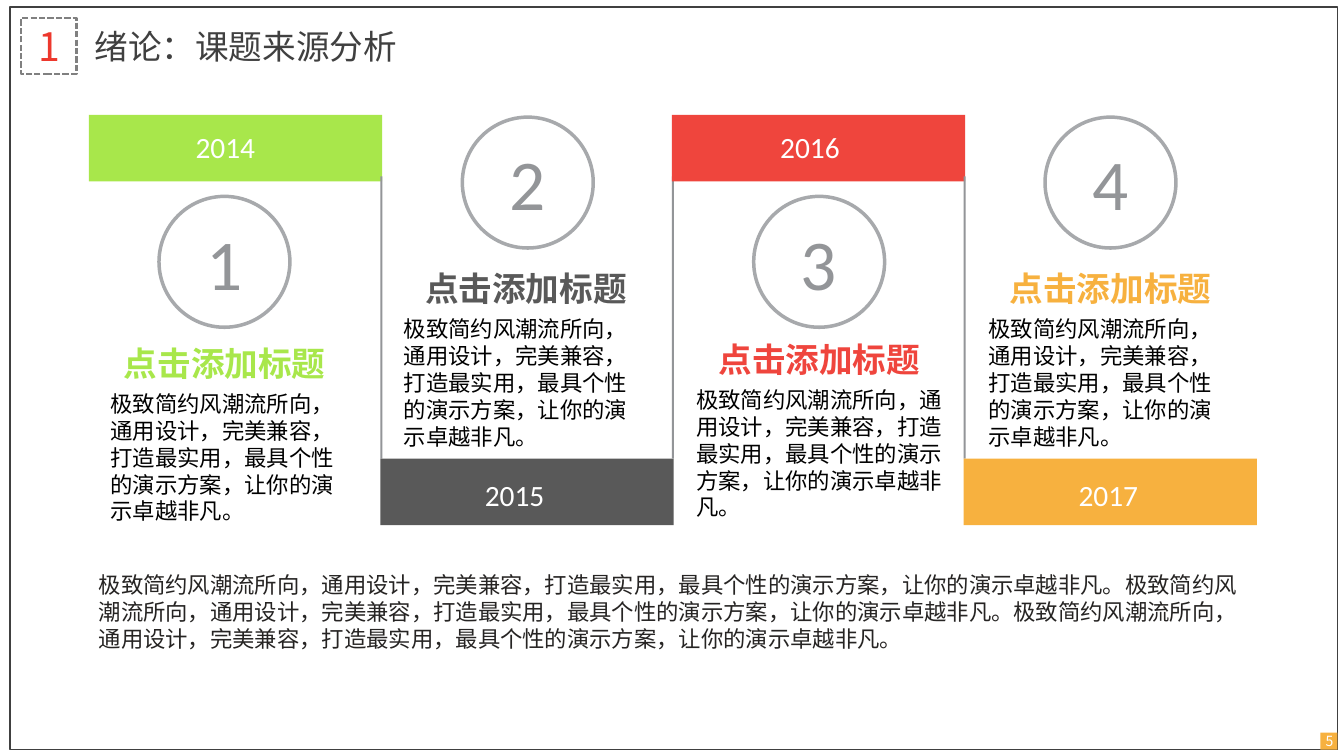
import pptx
import pptx.dml.color
import pptx.enum.dml
import pptx.enum.shapes
import pptx.enum.text
import pptx.oxml
import pptx.oxml.ns
import pptx.util

Pt = pptx.util.Pt
SHAPES = pptx.enum.shapes.MSO_SHAPE
ALIGN = pptx.enum.text.PP_ALIGN
ANCHOR = pptx.enum.text.MSO_ANCHOR
CJK_FONT = "Noto Sans CJK SC"

COLORS = {
    "frame": "404040", "dash": "808080", "number": "ED382D",
    "green": "A8E74B", "gray": "595959", "red": "EF453D", "orange": "F7B13F",
    "divider": "939598", "ring": "A7A9AC", "summary": "262423",
    "black": "000000", "white": "FFFFFF",
}
PITCH_TEXT = "极致简约风潮流所向，通用设计，完美兼容，打造最实用，最具个性的演示方案，让你的演示卓越非凡。"

COLUMN_LEFT, COLUMN_STEP = 63.4, 208.3
BAR_WIDTH, BAR_HEIGHT = 209.5, 47.5
BAR_TOPS = (82.1, 327.6)
CIRCLE_TOPS = (139, 82.4)
YEAR_TOPS = (92.2, 340.6)
RING_SIZE, RING_WIDTH = 96, 2.5

# Columns alternate between a bar above and a bar below the content.
COLUMNS = [
    {"color": "green", "circle": 112.3, "year": 139.7,
     "heading": (81.4, 241.2), "body": (72, 185)},
    {"color": "gray", "circle": 329, "year": 346.3,
     "heading": (296.6, 187.9), "body": (281.5, 188)},
    {"color": "red", "circle": 537.1, "year": 557.3,
     "heading": (506.2, 238.3), "body": (490.3, 190.5)},
    {"color": "orange", "circle": 745.2, "year": 770.4,
     "heading": (714.2, 187.9), "body": (699.1, 188.6)},
]


def rgb(color):
    return pptx.dml.color.RGBColor.from_string(COLORS[color])


def add_block(slide, kind, box, fill=None, line=None, line_width=1):
    shape = slide.shapes.add_shape(kind, *map(Pt, box))
    shape.shadow.inherit = False
    if fill:
        shape.fill.solid()
        shape.fill.fore_color.rgb = rgb(fill)
    else:
        shape.fill.background()
    if line:
        shape.line.color.rgb = rgb(line)
        shape.line.width = Pt(line_width)
    else:
        shape.line.fill.background()
    return shape


def write(shape, text, size, color, font=CJK_FONT, bold=False,
          align=ALIGN.LEFT, anchor=ANCHOR.TOP, wrap=True, inset=True):
    frame = shape.text_frame
    settings = {"word_wrap": wrap, "vertical_anchor": anchor}
    if not inset:
        sides = ("left", "top", "right", "bottom")
        settings.update({f"margin_{side}": 0 for side in sides})
    for name, value in settings.items():
        setattr(frame, name, value)
    paragraph = frame.paragraphs[0]
    paragraph.alignment = align
    run = paragraph.add_run()
    run.text = text
    style = {"name": font, "size": Pt(size), "bold": bold}
    for name, value in style.items():
        setattr(run.font, name, value)
    run.font.color.rgb = rgb(color)
    east_asian = pptx.oxml.parse_xml(
        f'<a:ea {pptx.oxml.ns.nsdecls("a")} typeface="{font}"/>')
    run.font._element.append(east_asian)


def add_text(slide, box, text, size, color, **options):
    write(slide.shapes.add_textbox(*map(Pt, box)), text, size, color, **options)


def add_header(slide):
    add_block(slide, SHAPES.RECTANGLE, (7.2, 5, 948.2, 530.6), line="frame")
    number = add_block(slide, SHAPES.RECTANGLE, (15.1, 13, 39.6, 39.6),
                       line="dash", line_width=1.5)
    number.line.dash_style = pptx.enum.dml.MSO_LINE.SQUARE_DOT
    write(number, "1", 28, "number", align=ALIGN.CENTER,
          anchor=ANCHOR.MIDDLE, inset=False)
    title = add_block(slide, SHAPES.RECTANGLE, (60.5, 13, 258.5, 39.6))
    write(title, "绪论：课题来源分析", 24, "frame", anchor=ANCHOR.MIDDLE)


def add_page_number(slide):
    add_block(slide, SHAPES.RECTANGLE, (943.2, 523.4, 12.2, 12.2), "orange")
    add_text(slide, (933.8, 523.4, 31.7, 12.2), "5", 10, "white",
             align=ALIGN.CENTER, anchor=ANCHOR.MIDDLE)


def add_column(slide, index, column):
    row = index % 2
    left = COLUMN_LEFT + index * COLUMN_STEP
    if index:
        add_block(slide, SHAPES.RECTANGLE, (left, 126, 1.4, 201.6), "divider")
    add_block(slide, SHAPES.RECTANGLE,
              (left, BAR_TOPS[row], BAR_WIDTH, BAR_HEIGHT), column["color"])
    add_text(slide, (column["year"], YEAR_TOPS[row], 43.2, 25.2),
             str(2014 + index), 21, "white", font="Calibri",
             wrap=False, inset=False)

    circle_left, circle_top = column["circle"], CIRCLE_TOPS[row]
    ring = add_block(slide, SHAPES.DONUT,
                     (circle_left, circle_top, RING_SIZE, RING_SIZE), "ring")
    ring.adjustments[0] = RING_WIDTH / RING_SIZE
    add_text(slide, (circle_left + 34.6, circle_top + 17.2, 26.6, 61.9),
             str(index + 1), 51, "divider", font="Calibri",
             align=ALIGN.CENTER, wrap=False, inset=False)

    heading_left, heading_top = column["heading"]
    add_text(slide, (heading_left, heading_top, 159.8, 36), "点击添加标题", 24,
             column["color"], font="Quicksand", bold=True, wrap=False)
    body_left, body_width = column["body"]
    add_text(slide, (body_left, heading_top + 33.9, body_width, 104.4),
             PITCH_TEXT, 16, "black")


def main():
    presentation = pptx.Presentation()
    presentation.slide_width = Pt(960)
    presentation.slide_height = Pt(540)
    slide = presentation.slides.add_slide(presentation.slide_layouts[6])
    add_header(slide)
    add_page_number(slide)
    for index, column in enumerate(COLUMNS):
        add_column(slide, index, column)
    add_text(slide, (63.4, 404.6, 834.5, 65.5), PITCH_TEXT * 3, 16, "summary")
    presentation.save("out.pptx")


if __name__ == "__main__":
    main()
